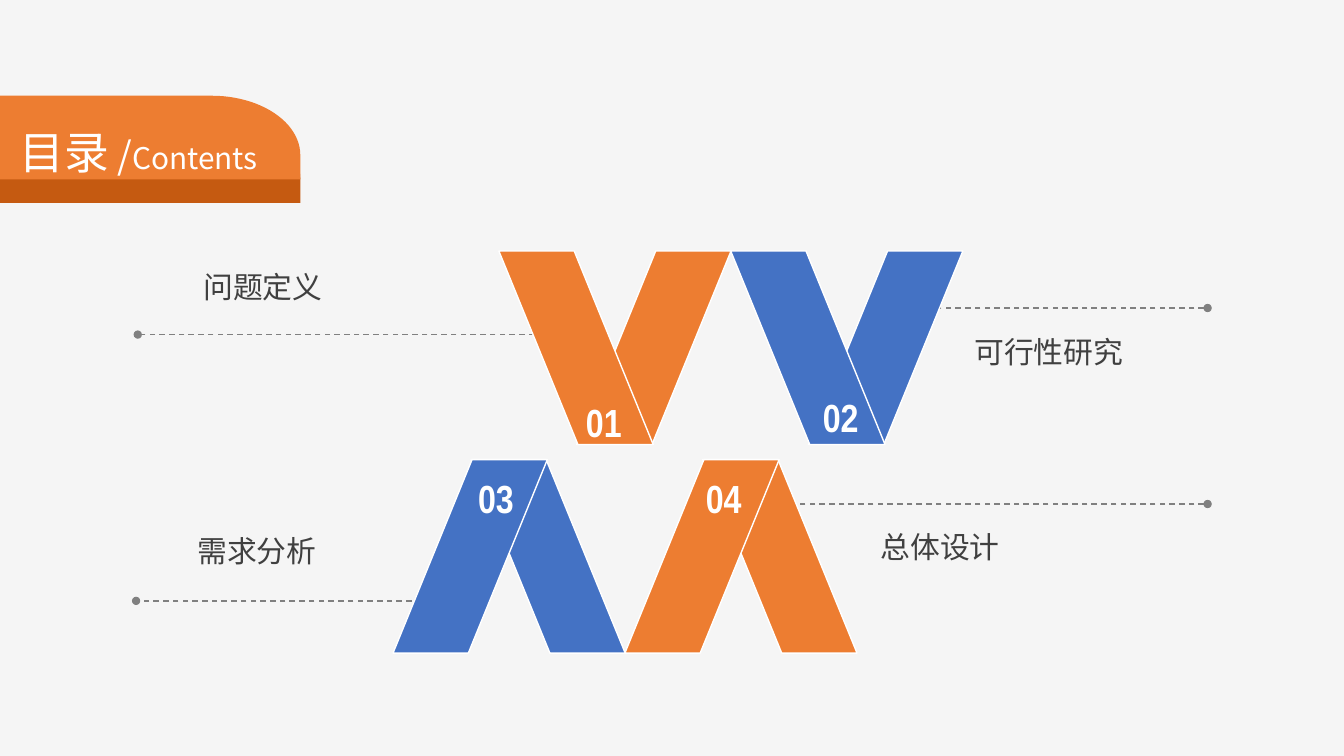
import math
from pptx import Presentation
from pptx.dml.color import RGBColor
from pptx.enum.dml import MSO_LINE
from pptx.enum.shapes import MSO_CONNECTOR, MSO_SHAPE
from pptx.enum.text import MSO_AUTO_SIZE, PP_ALIGN
from pptx.oxml.ns import qn
from pptx.util import Pt
from lxml import etree

PARALLELOGRAM = MSO_SHAPE.PARALLELOGRAM
STRAIGHT = MSO_CONNECTOR.STRAIGHT
DASH = MSO_LINE.DASH
GROW = MSO_AUTO_SIZE.SHAPE_TO_FIT_TEXT
LEFT, CENTER = PP_ALIGN.LEFT, PP_ALIGN.CENTER

COLORS = {
    "background": "F5F5F5", "orange": "ED7D31", "rust": "C55A11",
    "blue": "4472C4", "white": "FFFFFF", "leader": "808080", "label": "404040",
}
CJK = "Noto Sans CJK SC"
NARROW = "Arial Narrow"
STRIPE_W, STRIPE_H, STRIPE_SHIFT = 110.2, 138.2, 55.6
LETTER_STEP = 165.6


def color(name):
    return RGBColor.from_string(COLORS[name])


def add_text(slide, box, runs, font, ink, align=CENTER, bold=False, wrap=True, spacing=None):
    frame = slide.shapes.add_textbox(*map(Pt, box)).text_frame
    frame.word_wrap = wrap
    frame.auto_size = GROW
    paragraph = frame.paragraphs[0]
    paragraph.alignment = align
    if spacing:
        paragraph.line_spacing = spacing
    for words, size in runs:
        run = paragraph.add_run()
        run.text = words
        run.font.size = Pt(size)
        run.font.bold = bold
        run.font.color.rgb = color(ink)
        run.font.name = font
        etree.SubElement(run.font._element, qn("a:ea"), typeface=font)


def add_tab(slide, box, fill):
    left, top, width, height = box
    radius_x, radius_y = 63.4, 42.3
    right = left + width
    corner = []
    for step in range(25):
        angle = math.pi / 2 * step / 24
        corner.append((Pt(right - radius_x * (1 - math.sin(angle))),
                       Pt(top + radius_y * (1 - math.cos(angle)))))
    builder = slide.shapes.build_freeform(Pt(left), Pt(top))
    builder.add_line_segments(
        corner + [(Pt(right), Pt(top + height)), (Pt(left), Pt(top + height))], close=True)
    tab = builder.convert_to_shape()
    tab.shadow.inherit = False
    tab.fill.solid()
    tab.fill.fore_color.rgb = color(fill)
    tab.line.fill.background()


def add_banner(slide, box):
    left, top, width, height = box
    for drop, fill in ((16.8, "rust"), (0, "orange")):
        add_tab(slide, (left, top + drop, width, height), fill)
    add_text(slide, (left - 20.1, top + 9.4, 242.6, 49.7),
             [("目录", 32), (" /", 26.7), ("Contents", 21.3)], CJK, "white", spacing=1.2)


def add_leader(slide, start, end, y):
    leader = slide.shapes.add_connector(STRAIGHT, Pt(start), Pt(y), Pt(end), Pt(y))
    leader.line.color.rgb = color("leader")
    leader.line.width = Pt(1)
    leader.line.dash_style = DASH
    outline = leader.line._get_or_add_ln()
    for tip in ("a:headEnd", "a:tailEnd"):
        etree.SubElement(outline, qn(tip), type="oval")
    etree.SubElement(leader._element.spPr, qn("a:effectLst"))


def add_letter(slide, origin, number, number_offset, fill, upright):
    left, top = origin
    front_flips = ("flipH", "flipV") if upright else ("flipH",)
    back_flips = ("flipV",) if upright else ()
    for shift, flips in ((STRIPE_SHIFT, back_flips), (0, front_flips)):
        stripe = slide.shapes.add_shape(
            PARALLELOGRAM, Pt(left + shift), Pt(top), Pt(STRIPE_W), Pt(STRIPE_H))
        stripe.adjustments[0] = 0.512
        stripe.shadow.inherit = False
        stripe.fill.solid()
        stripe.fill.fore_color.rgb = color(fill)
        stripe.line.color.rgb = color("white")
        stripe.line.width = Pt(1)
        for flip in flips:
            stripe._element.spPr.get_or_add_xfrm().set(flip, "1")
    across, down = number_offset
    add_text(slide, (left + across, top + down, 66.2, 41), [(number, 28)],
             NARROW, "white", bold=True)


def add_letter_row(slide, origin, letters, upright):
    left, top = origin
    for column, (number, offset, fill) in enumerate(letters):
        add_letter(slide, (left + column * LETTER_STEP, top), number, offset, fill, upright)


def build_contents(slide):
    slide.background.fill.solid()
    slide.background.fill.fore_color.rgb = color("background")
    add_banner(slide, (-2.2, 68.4, 216.7, 59.8))
    for start, end, y in ((412, 98.4, 239), (317.5, 97.2, 429.2),
                          (862.6, 643, 220), (862.6, 558, 360)):
        add_leader(slide, start, end, y)
    add_letter_row(slide, (356.4, 179.3),
                   [("01", (41.8, 101.5), "orange"), ("02", (45.4, 97.9), "blue")], False)
    add_letter_row(slide, (280.8, 328.3),
                   [("03", (40.3, 7.2), "blue"), ("04", (37.4, 7.2), "orange")], True)
    for topic, left, top, width, align in (
            ("问题定义", 138.2, 188.6, 100.8, LEFT),
            ("需求分析", 133.2, 377.3, 100.8, CENTER),
            ("可行性研究", 689, 234.7, 122.4, LEFT),
            ("总体设计", 622.1, 374.4, 100.8, LEFT)):
        add_text(slide, (left, top, width, 33.1), [(topic, 21.3)], CJK, "label",
                 align=align, wrap=False)


def main():
    deck = Presentation()
    deck.slide_width, deck.slide_height = Pt(960), Pt(540)
    build_contents(deck.slides.add_slide(deck.slide_layouts[6]))
    deck.save("out.pptx")


if __name__ == "__main__":
    main()
